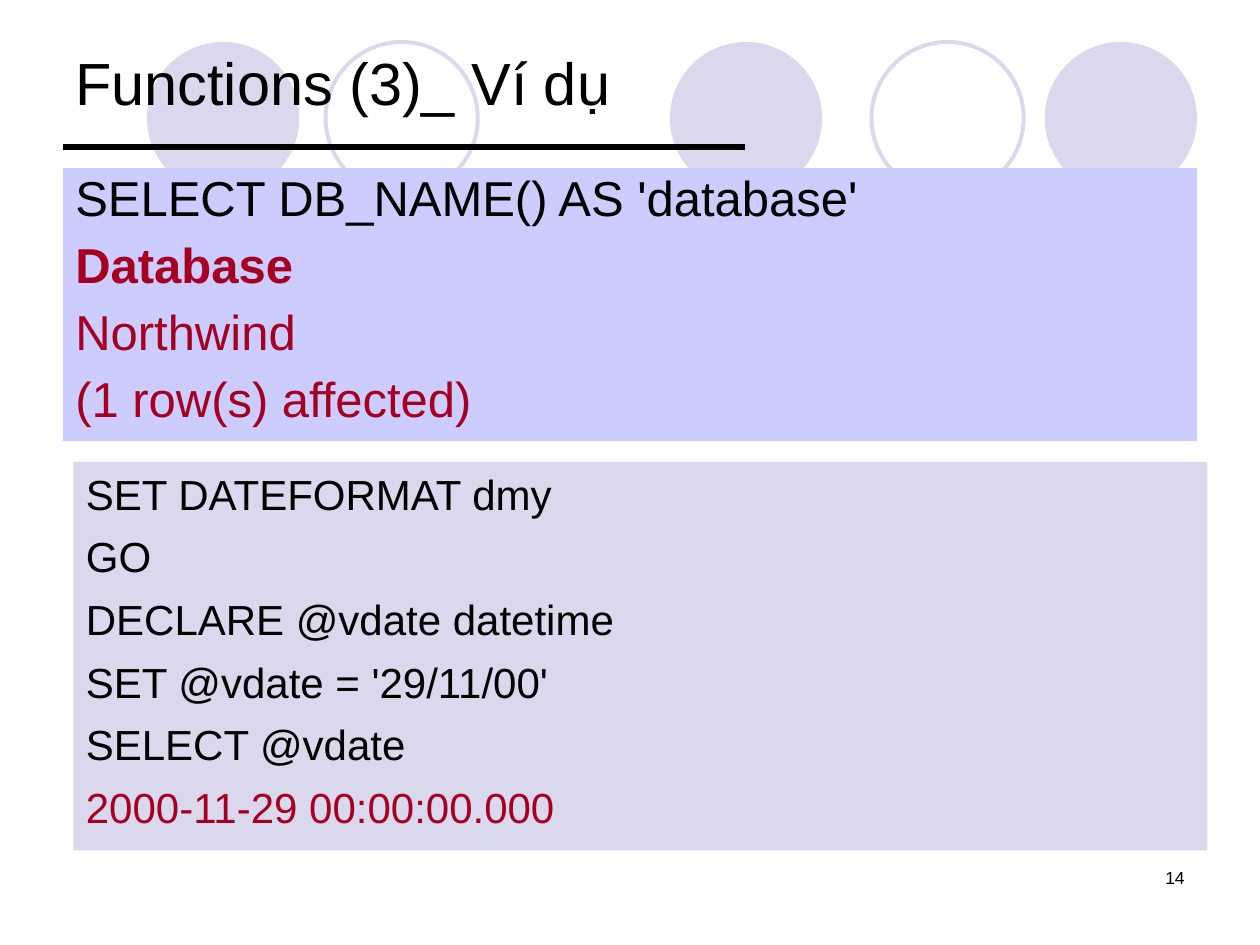
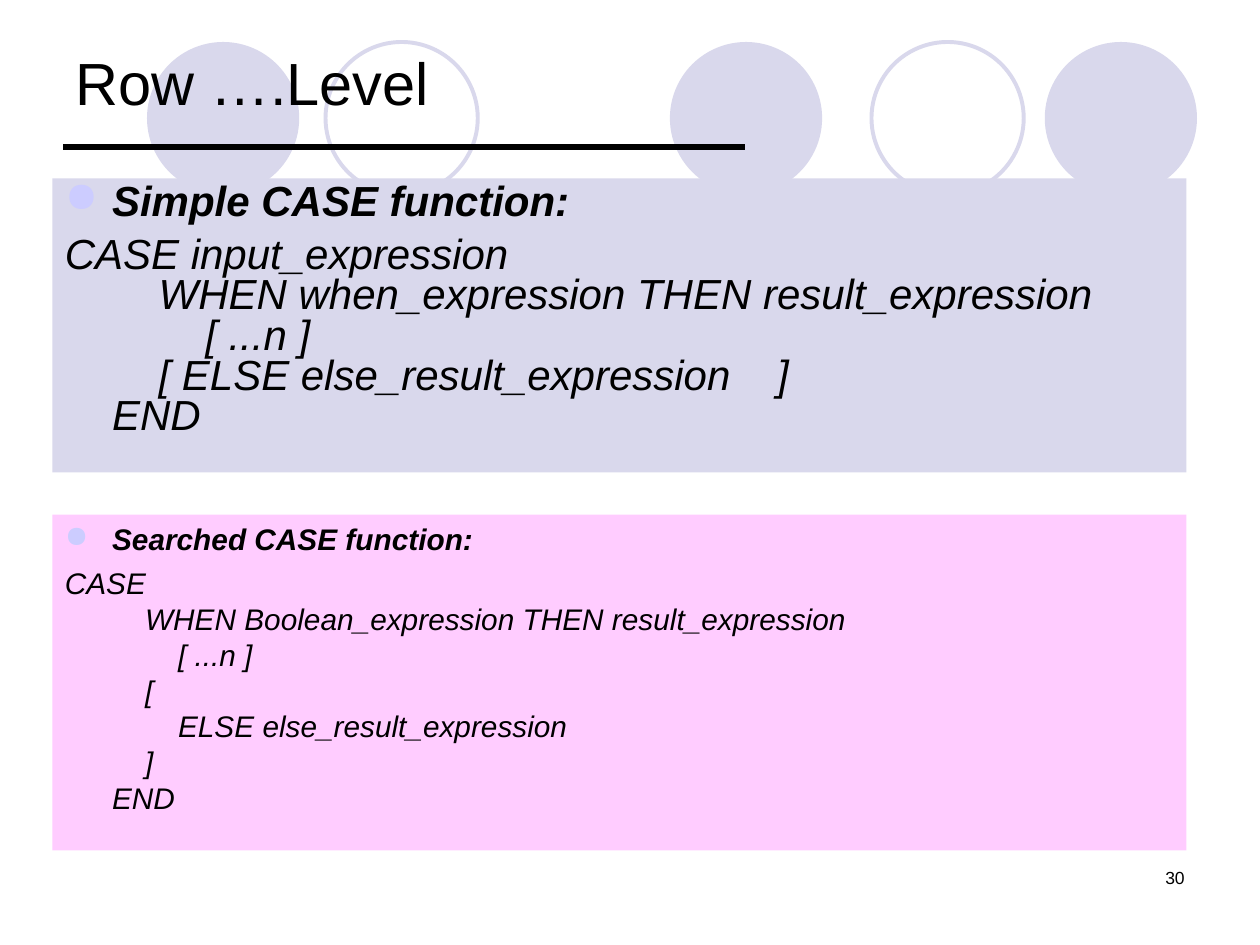
from dataclasses import dataclass
from typing import Optional

from lxml import etree
from pptx import Presentation
from pptx import util as u
from pptx.dml.color import RGBColor
from pptx.enum import shapes, text
from pptx.oxml import ns

PX = 914400 // 120  # 120 px to the inch
FONT = "Arial"
BLACK, RED = "000000", "A50021"
LAVENDER, PERIWINKLE, PINK = "D9D8EC", "CCCCFF", "FFCCFF"

CIRCLE_TOP, CIRCLE_SIZE = 40, 145
CIRCLES = [(638, True), (995, True), (140, True), (830, False), (310, False)]
HANGING = 45


@dataclass
class Line:
    text: str
    color: str = BLACK
    bold: bool = False
    italic: bool = False
    bullet: bool = False


@dataclass
class Panel:
    left: int
    top: int
    height: int
    fill: str
    size: int
    before: int
    lines: list[Line]
    spacing: float = 1.0


@dataclass
class Page:
    title: str
    number: str
    panels: list[Panel]


def px(n: int) -> u.Emu:
    return u.Emu(n * PX)


def rgb(color: str) -> RGBColor:
    return RGBColor.from_string(color)


def style(p, size: int, color: str = BLACK, **flags: bool) -> None:
    formats = {"name": FONT, "size": u.Pt(size), **flags}
    for r in p.runs:
        for key, value in formats.items():
            setattr(r.font, key, value)
        r.font.color.rgb = rgb(color)


def add_shape(s, kind, left: int, top: int, width: int, height: int,
              fill: Optional[str] = None, line: Optional[str] = None):
    sp = s.shapes.add_shape(kind, px(left), px(top), px(width), px(height))
    sp.shadow.inherit = False
    if fill:
        sp.fill.solid()
        sp.fill.fore_color.rgb = rgb(fill)
    else:
        sp.fill.background()
    if line:
        sp.line.color.rgb = rgb(line)
        sp.line.width = u.Pt(2.25)
    else:
        sp.line.fill.background()
    return sp


def add_label(s, left: int, top: int, width: int, height: int, words: str,
              size: int, anchor, align) -> None:
    tf = s.shapes.add_textbox(px(left), px(top), px(width), px(height)).text_frame
    for key, value in {"word_wrap": True, "vertical_anchor": anchor}.items():
        setattr(tf, key, value)
    p = tf.paragraphs[0]
    p.text, p.alignment = words, align
    style(p, size)


def set_indent(p, bullet: bool) -> None:
    pPr = p._p.get_or_add_pPr()
    pPr.set("marL", str(px(HANGING)))
    pPr.set("indent", str(px(-HANGING)))
    if bullet:
        color = etree.SubElement(pPr, ns.qn("a:buClr"))
        etree.SubElement(color, ns.qn("a:srgbClr"), val=PERIWINKLE)
        etree.SubElement(pPr, ns.qn("a:buChar"), char="●")
    else:
        etree.SubElement(pPr, ns.qn("a:buNone"))


def add_panel(s, panel: Panel) -> None:
    sp = add_shape(s, shapes.MSO_SHAPE.RECTANGLE, panel.left, panel.top,
                   1080, panel.height, panel.fill)
    tf = sp.text_frame
    tf.word_wrap = True
    tf.vertical_anchor = text.MSO_ANCHOR.TOP
    for i, line in enumerate(panel.lines):
        p = tf.add_paragraph() if i else tf.paragraphs[0]
        p.text = line.text.replace("\n", "\v")
        set_indent(p, line.bullet)
        formats = {"alignment": text.PP_ALIGN.LEFT, "line_spacing": panel.spacing,
                   "space_before": u.Pt(panel.before if i else 0)}
        for key, value in formats.items():
            setattr(p, key, value)
        style(p, panel.size, line.color, bold=line.bold, italic=line.italic)


def add_backdrop(s) -> None:
    for left, solid in CIRCLES:
        paint = {"fill" if solid else "line": LAVENDER}
        add_shape(s, shapes.MSO_SHAPE.OVAL, left, CIRCLE_TOP,
                  CIRCLE_SIZE, CIRCLE_SIZE, **paint)
    rule = s.shapes.add_connector(shapes.MSO_CONNECTOR.STRAIGHT,
                                  px(60), px(140), px(710), px(140))
    rule.line.color.rgb = rgb(BLACK)
    rule.line.width = u.Pt(3)
    etree.SubElement(rule._element.spPr, ns.qn("a:effectLst"))


def add_page(prs, page: Page) -> None:
    s = prs.slides.add_slide(prs.slide_layouts[6])
    add_backdrop(s)
    add_label(s, 860, 820, 280, 60, page.number, 10,
              text.MSO_ANCHOR.TOP, text.PP_ALIGN.RIGHT)
    add_label(s, 60, 36, 1080, 84, page.title, 34,
              text.MSO_ANCHOR.MIDDLE, text.PP_ALIGN.LEFT)
    for panel in page.panels:
        add_panel(s, panel)


# Slide contents
SIMPLE_CASE = """CASE input_expression
    WHEN when_expression THEN result_expression
        [ ...n ]
    [ ELSE else_result_expression    ]
END"""

SEARCHED_CASE = """CASE
    WHEN Boolean_expression THEN result_expression
        [ ...n ]
    [
        ELSE else_result_expression
    ]
END"""


def case_lines(heading: str, code: str) -> list[Line]:
    return [Line(heading, bold=True, italic=True, bullet=True),
            Line(code, italic=True)]


PAGES = [
    Page("Functions (3)_ Ví dụ", "14", [
        Panel(60, 160, 260, PERIWINKLE, 28, 8, [
            Line("SELECT DB_NAME() AS 'database'"),
            Line("Database", RED, bold=True),
            Line("Northwind", RED),
            Line("(1 row(s) affected)", RED),
        ], spacing=0.9),
        Panel(70, 440, 370, LAVENDER, 24, 7, [
            Line("SET DATEFORMAT dmy"),
            Line("GO"),
            Line("DECLARE @vdate datetime"),
            Line("SET @vdate = '29/11/00'"),
            Line("SELECT @vdate"),
            Line("2000-11-29 00:00:00.000", RED),
        ]),
    ]),
    Page("Row ….Level", "30", [
        Panel(50, 170, 280, LAVENDER, 24, 7,
              case_lines("Simple CASE function:", SIMPLE_CASE), spacing=0.8),
        Panel(50, 490, 320, PINK, 17, 5,
              case_lines("Searched CASE function:", SEARCHED_CASE)),
    ]),
]


def main() -> None:
    prs = Presentation()
    prs.slide_width, prs.slide_height = px(1200), px(900)
    for page in PAGES:
        add_page(prs, page)
    prs.save("out.pptx")


if __name__ == "__main__":
    main()
